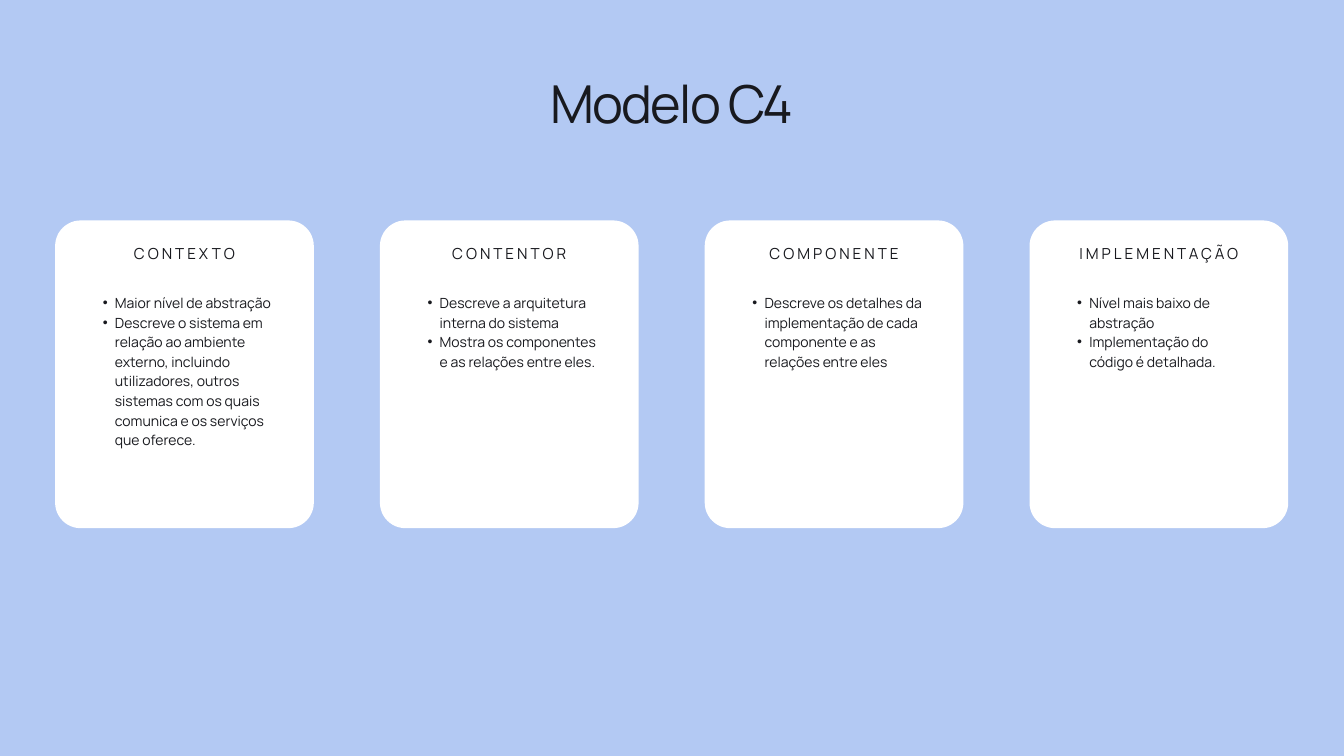
"""Build the "Modelo C4" slide: four cards, one for each level of the model."""
from lxml.etree import SubElement
from pptx import Presentation
from pptx.dml.color import RGBColor
from pptx.enum.shapes import MSO_SHAPE
from pptx.enum.text import MSO_ANCHOR, MSO_AUTO_SIZE, PP_ALIGN
from pptx.oxml.ns import qn
from pptx.util import Inches, Pt

COLORS = {"background": "B3C9F3", "card": "FFFFFF", "text": "18191E"}
FONT = "Manrope"
LEVELS = [
    ("CONTEXTO", 2.93, [
        "Maior nível de abstração",
        "Descreve o sistema em relação ao ambiente externo, incluindo utilizadores, "
        "outros sistemas com os quais comunica e os serviços que oferece.",
    ]),
    ("CONTENTOR", 1.47, [
        "Descreve a arquitetura interna do sistema",
        "Mostra os componentes e as relações entre eles.",
    ]),
    ("COMPONENTE", 1.18, [
        "Descreve os detalhes da implementação de cada componente e as relações entre eles",
    ]),
    ("IMPLEMENTAÇÃO", 1.18, [
        "Nível mais baixo de abstração",
        "Implementação do código é detalhada.",
    ]),
]
CARD_LEFT, CARD_TOP, CARD_WIDTH, CARD_HEIGHT = 0.82, 3.28, 3.85, 4.58
CARD_PITCH = 14.5 / 3
CORNER_RADIUS = 0.38
LIST_INSET, LIST_WIDTH = 0.54, 2.77


def place(shape, left, top, width, height):
    shape.left, shape.top = Inches(left), Inches(top)
    shape.width, shape.height = Inches(width), Inches(height)


def write(shape, lines, size, line_height, alignment, tracking=0):
    frame = shape.text_frame
    frame.text = "\n".join(lines)
    frame.word_wrap = True
    frame.auto_size = MSO_AUTO_SIZE.SHAPE_TO_FIT_TEXT
    frame.vertical_anchor = MSO_ANCHOR.TOP
    frame.margin_left = frame.margin_right = frame.margin_top = frame.margin_bottom = 0
    for paragraph in frame.paragraphs:
        paragraph.alignment = alignment
        paragraph.line_spacing = Pt(line_height)
        paragraph.space_before = Pt(0)
        paragraph.font.name = FONT
        paragraph.font.size = Pt(size)
        paragraph.font.bold = False
        paragraph.font.color.rgb = RGBColor.from_string(COLORS["text"])
        for run in paragraph.runs:
            run.font._element.set("spc", str(round(tracking * 100)))


presentation = Presentation()
presentation.slide_width = Inches(20)
presentation.slide_height = Inches(11.25)
slide = presentation.slides.add_slide(presentation.slide_layouts.get_by_name("Comparison"))
slide.background.fill.solid()
slide.background.fill.fore_color.rgb = RGBColor.from_string(COLORS["background"])

title, *lists = [shape for shape in slide.placeholders if shape.placeholder_format.idx < 5]
place(title, 4.56, 1.06, 10.88, 0.99)
write(title, ["Modelo C4"], 56, 67.2, PP_ALIGN.CENTER, -1.8)

for index, (level_list, (heading, list_height, items)) in enumerate(zip(lists, LEVELS)):
    left = CARD_LEFT + index * CARD_PITCH

    card = slide.shapes.add_shape(
        MSO_SHAPE.ROUNDED_RECTANGLE,
        Inches(left), Inches(CARD_TOP), Inches(CARD_WIDTH), Inches(CARD_HEIGHT),
    )
    card.adjustments[0] = CORNER_RADIUS / CARD_WIDTH
    card.fill.solid()
    card.fill.fore_color.rgb = RGBColor.from_string(COLORS["card"])
    card.line.fill.background()
    card.shadow.inherit = False
    level_list.element.addprevious(card.element)

    heading_box = slide.shapes.add_textbox(
        Inches(left), Inches(3.64), Inches(CARD_WIDTH), Inches(0.28)
    )
    write(heading_box, [heading], 16.3, 19.5, PP_ALIGN.CENTER, 3.2)

    place(level_list, left + LIST_INSET, 4.34, LIST_WIDTH, list_height)
    write(level_list, items, 15, 21, PP_ALIGN.LEFT)
    for paragraph in level_list.text_frame.paragraphs:
        properties = paragraph._p.get_or_add_pPr()
        properties.set("marL", str(Inches(0.35)))
        properties.set("indent", str(Inches(-0.18)))
        bullet = SubElement(properties, qn("a:buChar"), char="•")
        properties.find(qn("a:defRPr")).addprevious(bullet)

presentation.save("out.pptx")
